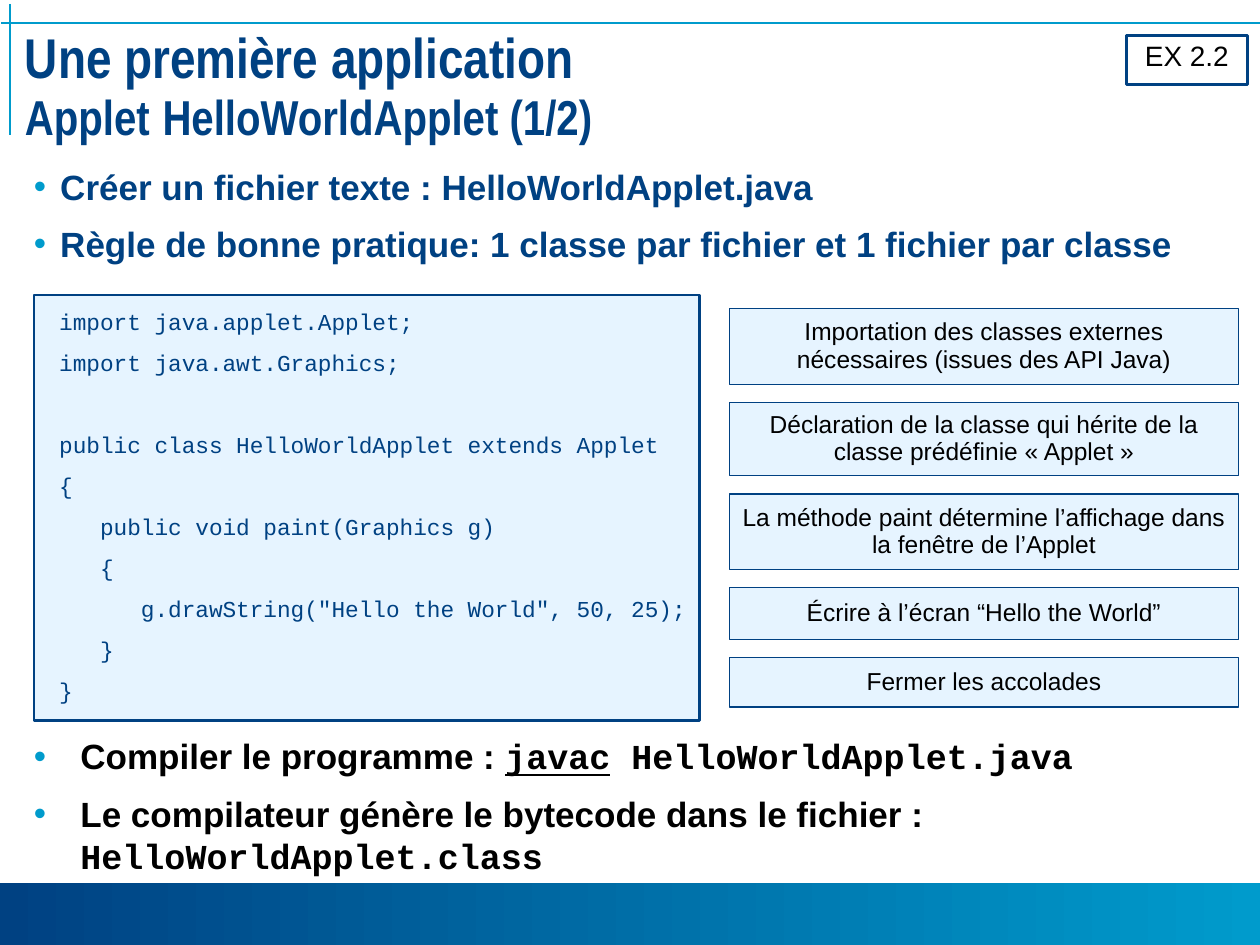
import dataclasses
import typing

import lxml.etree
import pptx
import pptx.dml.color
import pptx.enum.shapes
import pptx.enum.text
import pptx.oxml.ns
import pptx.util

NAVY, CYAN, PALE, BLACK = "004182", "009BCC", "E6F4FF", "000000"
ALIGN = pptx.enum.text.PP_ALIGN
ANCHOR = pptx.enum.text.MSO_ANCHOR
SHAPE = pptx.enum.shapes.MSO_SHAPE

presentation = pptx.Presentation()
presentation.slide_width = pptx.util.Inches(10)
presentation.slide_height = pptx.util.Inches(7.5)
slide = presentation.slides.add_slide(presentation.slide_layouts[6])

# The grid has 100 columns and 75 rows
COLUMN = presentation.slide_width / 100
ROW = presentation.slide_height / 75


class Area(typing.NamedTuple):
    """Left and width in columns, top and height in rows."""
    left: float
    top: float
    width: float
    height: float

    def lengths(self) -> list[int]:
        units = (COLUMN, ROW, COLUMN, ROW)
        return [round(value * unit) for value, unit in zip(self, units)]


class Margins(typing.NamedTuple):
    """Left and right in columns, top and bottom edge in rows."""
    left: float = 1
    right: float = 1
    edge: float = 0.5


@dataclasses.dataclass
class Run:
    text: str
    format: dict[str, typing.Any]
    color: str = BLACK


@dataclasses.dataclass
class Paragraph:
    runs: list[Run]
    format: dict[str, typing.Any]
    bullet_indent: float = 0


@dataclasses.dataclass
class Note:
    text: str
    height: float


def rgb(color: str) -> pptx.dml.color.RGBColor:
    return pptx.dml.color.RGBColor.from_string(color)


def apply(target: typing.Any, values: dict[str, typing.Any]) -> None:
    for name, value in values.items():
        setattr(target, name, value)


def font(size: float, name: str = "Arial", **extra: typing.Any) -> dict[str, typing.Any]:
    return {"size": pptx.util.Pt(size), "name": name, **extra}


def add_bullet(paragraph: typing.Any, indent: float) -> None:
    properties = paragraph._p.get_or_add_pPr()
    length = round(indent * COLUMN)
    properties.set("marL", str(length))
    properties.set("indent", str(-length))
    qualified = pptx.oxml.ns.qn
    color = lxml.etree.SubElement(properties, qualified("a:buClr"))
    lxml.etree.SubElement(color, qualified("a:srgbClr"), val=CYAN)
    lxml.etree.SubElement(properties, qualified("a:buFont"), typeface="Arial")
    lxml.etree.SubElement(properties, qualified("a:buChar"), char="•")


def write(shape: typing.Any, paragraphs: list[Paragraph], anchor: typing.Any = ANCHOR.TOP,
          margins: Margins = Margins()) -> None:
    frame = shape.text_frame
    edge = round(margins.edge * ROW)
    apply(frame, {"word_wrap": True, "vertical_anchor": anchor,
                  "margin_left": round(margins.left * COLUMN),
                  "margin_right": round(margins.right * COLUMN),
                  "margin_top": edge, "margin_bottom": edge})
    for index, content in enumerate(paragraphs):
        paragraph = frame.add_paragraph() if index else frame.paragraphs[0]
        if content.bullet_indent:
            add_bullet(paragraph, content.bullet_indent)
        apply(paragraph, content.format)
        for part in content.runs:
            if part.text == "\n":
                paragraph.add_line_break()
                continue
            run = paragraph.add_run()
            run.text = part.text
            apply(run.font, part.format)
            run.font.color.rgb = rgb(part.color)


def add_text(area: Area, paragraphs: list[Paragraph], **options: typing.Any) -> None:
    write(slide.shapes.add_textbox(*area.lengths()), paragraphs, **options)


def add_box(area: Area, line_width: float, fill: str | None = PALE) -> typing.Any:
    shape = slide.shapes.add_shape(SHAPE.ROUNDED_RECTANGLE, *area.lengths())
    shape.adjustments[0] = 0
    shape.shadow.inherit = False
    if fill:
        shape.fill.solid()
        shape.fill.fore_color.rgb = rgb(fill)
    else:
        shape.fill.background()
    shape.line.color.rgb = rgb(NAVY)
    shape.line.width = pptx.util.Pt(line_width)
    return shape


def add_rule(left: float, top: float, right: float, bottom: float) -> None:
    rule = slide.shapes.add_connector(
        pptx.enum.shapes.MSO_CONNECTOR.STRAIGHT, round(left * COLUMN), round(top * ROW),
        round(right * COLUMN), round(bottom * ROW))
    rule.line.color.rgb = rgb(CYAN)
    rule.line.width = pptx.util.Pt(1)
    lxml.etree.SubElement(rule._element.spPr, pptx.oxml.ns.qn("a:effectLst"))


def bullets(items: list[list[Run]], indent: float) -> list[Paragraph]:
    first = {"line_spacing": 0.93}
    later = {"line_spacing": 1.0, "space_before": pptx.util.Pt(8.5)}
    return [Paragraph(runs, later if index else first, indent)
            for index, runs in enumerate(items)]


# Footer band and corner rules
band = slide.shapes.add_shape(SHAPE.RECTANGLE, *Area(0, 70.1, 100, 4.9).lengths())
band.shadow.inherit = False
band.line.fill.background()
band.fill.gradient()
band.fill.gradient_angle = 0
for stop, (position, color) in zip(band.fill.gradient_stops, ((0, NAVY), (1, CYAN))):
    stop.position = position
    stop.color.rgb = rgb(color)
add_rule(0.1, 1.8, 100, 1.8)
add_rule(0.8, 0.3, 0.8, 10.7)

# Title
large, small = (font(size, "Arial Narrow", bold=True) for size in (32, 28))
add_text(Area(1, 2.2, 98.3, 10.4), [Paragraph([
    Run("Une première application", large, NAVY), Run("\n", large),
    Run("Applet", small, NAVY), Run(" ", large, NAVY),
    Run("HelloWorldApplet (1/2)", small, NAVY)], {"line_spacing": 0.85})],
    margins=Margins(edge=0.4))

# Opening bullets
strong = font(20, bold=True)
add_text(Area(1.7, 12.9, 96.4, 8.9), bullets([
    [Run("Créer un fichier texte : HelloWorldApplet.java", strong, NAVY)],
    [Run("Règle de bonne pratique: 1 classe par fichier et 1 fichier par classe",
         strong, NAVY)]], 2.1))

# Explanations beside the code
NOTES = [
    Note("Importation des classes externes nécessaires (issues des API Java)", 6),
    Note("Déclaration de la classe qui hérite de la classe prédéfinie « Applet »", 5.8),
    Note("La méthode paint détermine l’affichage dans la fenêtre de l’Applet", 6),
    Note("Écrire à l’écran “Hello the World”", 4.1),
    Note("Fermer les accolades", 3.9),
]
NOTE_GAP = 1.45
centered = {"alignment": ALIGN.CENTER, "line_spacing": 0.93}
note_top = 24.5
for note in NOTES:
    box = add_box(Area(57.9, note_top, 40.4, note.height), 0.75)
    write(box, [Paragraph([Run(note.text, font(14))], centered)], anchor=ANCHOR.MIDDLE)
    note_top += note.height + NOTE_GAP

# Code listing: an empty source line becomes space before the next line
CODE = """import java.applet.Applet;
import java.awt.Graphics;

public class HelloWorldApplet extends Applet
{
   public void paint(Graphics g)
   {
      g.drawString("Hello the World", 50, 25);
   }
}"""
LINE_PITCH = 23.4
code_paragraphs = []
space = 0.0
for line in CODE.splitlines():
    if not line:
        space += LINE_PITCH
        continue
    spacing = pptx.util.Pt(LINE_PITCH if code_paragraphs else 19.4)
    code_paragraphs.append(Paragraph(
        [Run(line, font(13, "Courier New"), NAVY)],
        {"alignment": ALIGN.LEFT, "line_spacing": spacing,
         "space_before": pptx.util.Pt(space)}))
    space = 0.0
write(add_box(Area(2.7, 23.4, 52.8, 33.8), 1.5), code_paragraphs,
      margins=Margins(left=2, right=0))

# Closing bullets
command = font(20, "Courier New", bold=True)
add_text(Area(1.7, 58.1, 96.4, 11.8), bullets([
    [Run("Compiler le programme : ", strong), Run("javac", {**command, "underline": True}),
     Run(" HelloWorldApplet.java", command)],
    [Run("Le compilateur génère le bytecode dans le fichier : ", strong),
     Run("HelloWorldApplet.class", command)]], 3.7))

# Exercise tag
write(add_box(Area(89.4, 2.8, 9.6, 3.9), 1.5, fill=None),
      [Paragraph([Run("EX 2.2", font(16))], centered)])

presentation.save("out.pptx")
